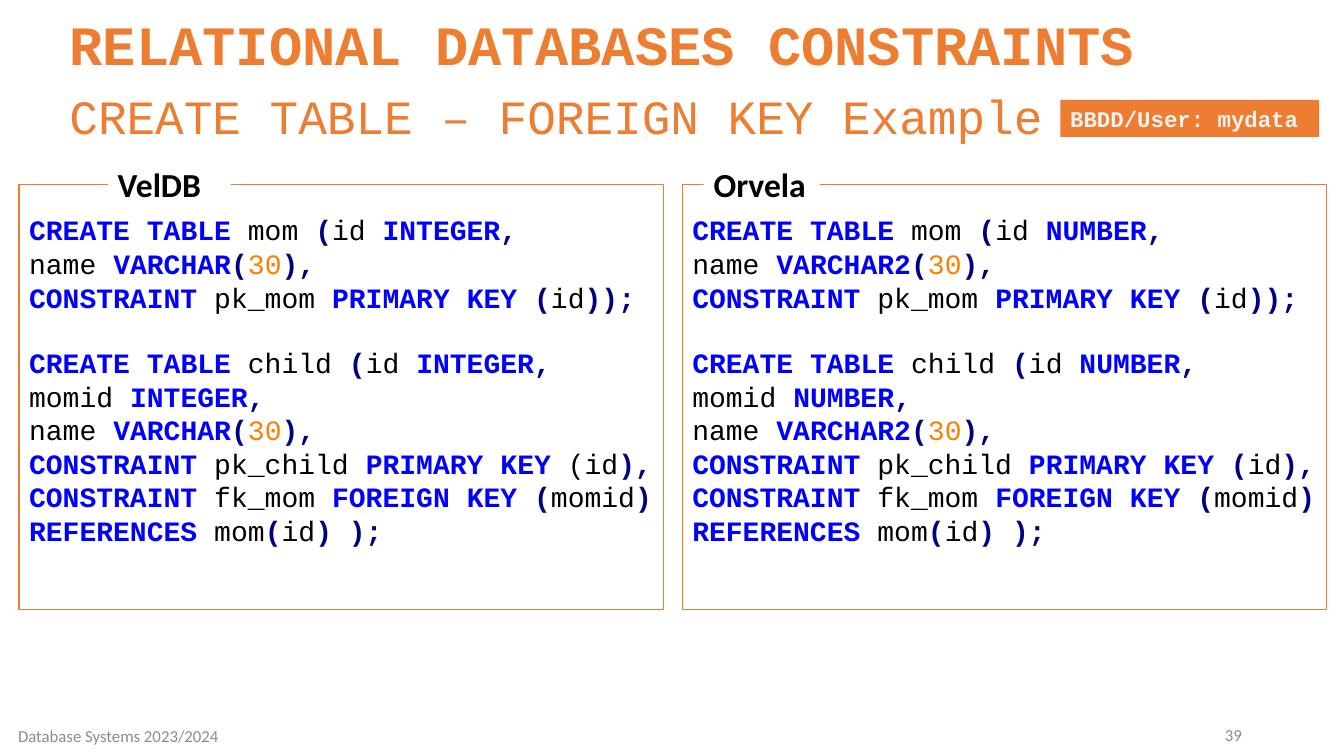
import itertools

import pptx
import pptx.dml.color
import pptx.enum.shapes
import pptx.enum.text
import pptx.util

ORANGE, WHITE, BLACK, GREY = "ED7D31", "FFFFFF", "000000", "8C8C8C"
KEYWORD, MARK, NUMBER = "0000FF", "000080", "FF8000"
CODE_FONT, TEXT_FONT = "Courier New", "Calibri"
ALIGN = pptx.enum.text.PP_ALIGN
ANCHOR = pptx.enum.text.MSO_ANCHOR

DIALECTS = [
    ("VelDB", 13.7, 77.0, 87.8, """CREATE TABLE mom (id INTEGER,
name VARCHAR(30),
CONSTRAINT pk_mom PRIMARY KEY (id));
CREATE TABLE child (id INTEGER,
momid INTEGER,
name VARCHAR(30),
CONSTRAINT pk_child PRIMARY KEY `(`id),
CONSTRAINT fk_mom FOREIGN KEY (momid) REFERENCES mom(id) );"""),
    ("Orvela", 487.4, 502.6, 82.8, """CREATE TABLE mom (id NUMBER,
name VARCHAR2(30),
CONSTRAINT pk_mom PRIMARY KEY (id));
CREATE TABLE child (id NUMBER,
momid NUMBER,
name VARCHAR2(30),
CONSTRAINT pk_child PRIMARY KEY (id),
CONSTRAINT fk_mom FOREIGN KEY (momid) REFERENCES mom(id) );"""),
]


def color(value):
    """Turn a hex string into a colour."""
    return pptx.dml.color.RGBColor.from_string(value)


def character_kind(character):
    """Tell words, spaces and punctuation marks apart."""
    if character.isalnum() or character == "_":
        return "word"
    return "space" if character.isspace() else "mark"


def token_color(kind, token):
    """Choose the syntax colour of a token."""
    if kind == "mark":
        return MARK
    if token.isdigit():
        return NUMBER
    return KEYWORD if token.isupper() else BLACK


def highlight(line):
    """Split a line of SQL into coloured spans; backticks enclose plain text."""
    tokens = []
    for position, part in enumerate(line.split("`")):
        if position % 2:
            tokens.append((BLACK, part))
            continue
        for kind, group in itertools.groupby(part, character_kind):
            token = "".join(group)
            tokens.append((token_color(kind, token), token))
    for shade, group in itertools.groupby(tokens, lambda token: token[0]):
        yield shade, "".join(text for _, text in group)


class Painter:
    """Hold the style and the current slide."""

    def __init__(self, page):
        """Keep the page to draw on."""
        self.page = page

    def place(self, left, top, width, height):
        """Convert a box in points to lengths."""
        return [pptx.util.Pt(value) for value in (left, top, width, height)]

    def letter(self, shape, text, size, font, shade, bold=False,
               align=ALIGN.LEFT, anchor=ANCHOR.MIDDLE):
        """Put one styled paragraph into a shape."""
        frame = shape.text_frame
        frame.word_wrap = True
        frame.auto_size = pptx.enum.text.MSO_AUTO_SIZE.NONE
        frame.vertical_anchor = anchor
        para = frame.paragraphs[0]
        para.text = text
        para.alignment = align
        para.font.name = font
        para.font.size = pptx.util.Pt(size)
        para.font.bold = bold
        para.font.color.rgb = color(shade)
        return para

    def title(self, box, text, size):
        """Move and format the title placeholder."""
        shape = self.page.shapes.title
        shape.left, shape.top, shape.width, shape.height = self.place(*box)
        self.letter(shape, text, size, CODE_FONT, ORANGE, True).line_spacing = 0.8

    def label(self, box, text, size, font, shade, align=ALIGN.LEFT):
        """Add a text box."""
        shape = self.page.shapes.add_textbox(*self.place(*box))
        return self.letter(shape, text, size, font, shade, align=align)

    def rectangle(self, box, fill, line=None):
        """Add a filled rectangle."""
        shape = self.page.shapes.add_shape(
            pptx.enum.shapes.MSO_SHAPE.RECTANGLE, *self.place(*box))
        shape.shadow.inherit = False
        shape.fill.solid()
        shape.fill.fore_color.rgb = color(fill)
        if line:
            shape.line.color.rgb = color(line)
            shape.line.width = pptx.util.Pt(1)
        else:
            shape.line.fill.background()
        return shape

    def tag(self, box, text, size, font, shade, fill):
        """Add a filled rectangle with bold text."""
        shape = self.rectangle(box, fill)
        self.letter(shape, text, size, font, shade, True, anchor=ANCHOR.TOP)

    def code(self, box, source):
        """Add a framed panel of highlighted SQL."""
        frame = self.rectangle(box, WHITE, ORANGE).text_frame
        frame.word_wrap = True
        frame.vertical_anchor = ANCHOR.TOP
        frame.margin_top = pptx.util.Pt(20.2)
        for number, line in enumerate(source.splitlines()):
            para = frame.add_paragraph() if number else frame.paragraphs[0]
            para.alignment = ALIGN.LEFT
            para.font.name = CODE_FONT
            para.font.size = pptx.util.Pt(20)
            if number and line.startswith("CREATE"):
                para.space_before = pptx.util.Pt(22.65)
            for shade, text in highlight(line):
                span = para.add_run()
                span.text = text
                span.font.color.rgb = color(shade)
                span.font.bold = shade in (KEYWORD, MARK)


def main():
    """Build the slide and save the deck."""
    deck = pptx.Presentation()
    deck.slide_width, deck.slide_height = pptx.util.Pt(960), pptx.util.Pt(540)
    painter = Painter(deck.slides.add_slide(deck.slide_layouts[5]))

    for name, left, name_left, name_width, source in DIALECTS:
        painter.code((left, 131.8, 460.1, 303.8), source)
        painter.tag((name_left, 113.8, name_width, 36), name, 24,
                    TEXT_FONT, BLACK, WHITE)

    painter.title((42.5, 10.8, 843.8, 49.7), "RELATIONAL DATABASES CONSTRAINTS", 39.6)
    subtitle = painter.label((42.5, 59.8, 843.8, 49.7),
                             "CREATE TABLE – FOREIGN KEY Example",
                             34.1, CODE_FONT, ORANGE)
    subtitle.line_spacing = 0.9
    painter.label((678.2, 510.5, 216, 28.8), "39", 12, TEXT_FONT, GREY, ALIGN.RIGHT)
    painter.label((0, 511.2, 169.2, 28.8), "Database Systems 2023/2024",
                  12, TEXT_FONT, GREY, ALIGN.CENTER)
    painter.tag((757.4, 71.3, 185, 26.6), "BBDD/User: mydata", 16,
                CODE_FONT, "F2F2F2", ORANGE)
    deck.save("out.pptx")


if __name__ == "__main__":
    main()
